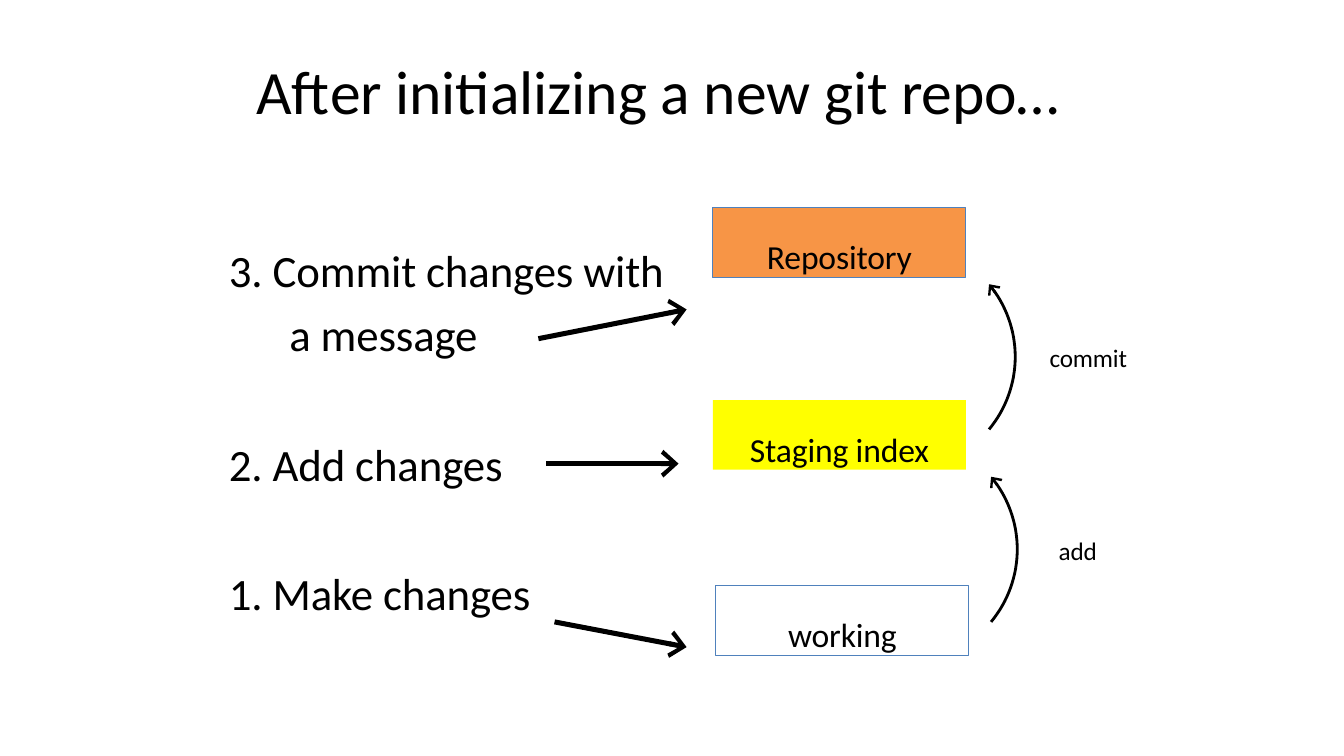
import math
from pptx import Presentation
from pptx.dml.color import RGBColor
from pptx.enum.shapes import MSO_CONNECTOR, MSO_SHAPE
from pptx.enum.text import MSO_ANCHOR, MSO_AUTO_SIZE, PP_ALIGN
from pptx.oxml.ns import qn
from pptx.util import Inches, Pt
from lxml import etree

RECT, STRAIGHT = MSO_SHAPE.RECTANGLE, MSO_CONNECTOR.STRAIGHT
TOP, MIDDLE = MSO_ANCHOR.TOP, MSO_ANCHOR.MIDDLE
LEFT, CENTER = PP_ALIGN.LEFT, PP_ALIGN.CENTER

COLORS = {"ink": "000000", "orange": "F79546", "yellow": "FFFF00",
          "blue": "4F81BC"}
FONT = "Calibri"
TITLE = ("After initializing a new git repo…", 2.54, 0.51, 8.26, 0.76)
STEPS = [
    ("3. Commit changes with a message", 2.29, 4.38, 1.31, 1.2),
    ("2. Add changes", 4.32, 2.9, 0.56, 1),
    ("1. Make changes", 5.6, 3.2, 0.56, 1),
]
STEP_LEFT, STEP_HANG = 2.25, 0.62
AREAS = [
    ("Repository", 7.07, 2.06, "orange", "blue"),
    ("Staging index", 7.07, 3.97, "yellow", None),
    ("working", 7.1, 5.81, None, "blue"),
]
AREA_W, AREA_H = 2.51, 0.69
ARROWS = [
    ((5.34, 3.36), (6.81, 3.07)),
    ((5.42, 4.6), (6.73, 4.6)),
    ((5.5, 6.17), (6.81, 6.42)),
]
MOVES = [("commit", 10.41, 3.39, 9.81, 4.26), ("add", 10.5, 5.3, 9.83, 6.17)]
ARC_RISE, ARC_BULGE, ARC_STEPS = 1.44, 0.26, 32


def color(name):
    return RGBColor.from_string(COLORS[name])


def write(tf, text, size, align=LEFT, anchor=TOP, top=0.01):
    tf.word_wrap = True
    tf.auto_size = MSO_AUTO_SIZE.NONE
    tf.vertical_anchor = anchor
    tf.margin_left = tf.margin_right = tf.margin_bottom = 0
    tf.margin_top = Inches(top)
    p = tf.paragraphs[0]
    p.alignment = align
    r = p.add_run()
    r.text = text
    r.font.name, r.font.size = FONT, Pt(size)
    r.font.color.rgb = color("ink")
    r.font._element.set("spc", "-10")
    return p


def add_text(s, text, x, y, w, h, size):
    sp = s.shapes.add_textbox(Inches(x), Inches(y), Inches(w), Inches(h))
    return write(sp.text_frame, text, size)


def add_area(s, text, x, y, fill, line):
    sp = s.shapes.add_shape(RECT, Inches(x), Inches(y),
                            Inches(AREA_W), Inches(AREA_H))
    sp.shadow.inherit = False
    if fill:
        sp.fill.solid()
        sp.fill.fore_color.rgb = color(fill)
    else:
        sp.fill.background()
    if line:
        sp.line.color.rgb = color(line)
        sp.line.width = Pt(0.72)
    else:
        sp.line.fill.background()
    write(sp.text_frame, text, 24, CENTER, top=0.28)


def ink_arrow(sp, width):
    sp.line.color.rgb = color("ink")
    sp.line.width = Pt(width)
    ln = sp.line._get_or_add_ln()
    etree.SubElement(ln, qn("a:tailEnd"), type="arrow", w="lg", len="med")


def add_arrow(s, start, end):
    c = s.shapes.add_connector(STRAIGHT, *map(Inches, start + end))
    ink_arrow(c, 3.6)
    etree.SubElement(c._element.spPr, qn("a:effectLst"))


def add_arc(s, x, y):
    half = ARC_RISE / 2
    radius = (half ** 2 + ARC_BULGE ** 2) / (2 * ARC_BULGE)
    sweep = math.asin(half / radius)
    cx, cy = x + ARC_BULGE - radius, y - half
    angles = [sweep * (1 - 2 * i / ARC_STEPS) for i in range(ARC_STEPS + 1)]
    points = [(Inches(cx + radius * math.cos(a)),
               Inches(cy + radius * math.sin(a))) for a in angles]
    builder = s.shapes.build_freeform(*points[0])
    builder.add_line_segments(points[1:], close=False)
    sp = builder.convert_to_shape()
    sp.shadow.inherit = False
    sp.fill.background()
    ink_arrow(sp, 2)


def main():
    prs = Presentation()
    prs.slide_width, prs.slide_height = Inches(13.33), Inches(7.5)
    s = prs.slides.add_slide(prs.slide_layouts[5])

    text, *box = TITLE
    title = s.shapes.title
    title.left, title.top, title.width, title.height = map(Inches, box)
    write(title.text_frame, text, 44, anchor=MIDDLE)

    for text, y, w, h, spacing in STEPS:
        p = add_text(s, text, STEP_LEFT, y, w, h, 32)
        p.line_spacing = spacing
        pPr = p._p.get_or_add_pPr()
        pPr.set("marL", str(Inches(STEP_HANG)))
        pPr.set("indent", str(Inches(0.02 - STEP_HANG)))
    for area in AREAS:
        add_area(s, *area)
    for start, end in ARROWS:
        add_arrow(s, start, end)
    for text, x, y, arc_x, arc_y in MOVES:
        add_arc(s, arc_x, arc_y)
        add_text(s, text, x, y, 0.9, 0.33, 18)

    prs.save("out.pptx")


if __name__ == "__main__":
    main()
